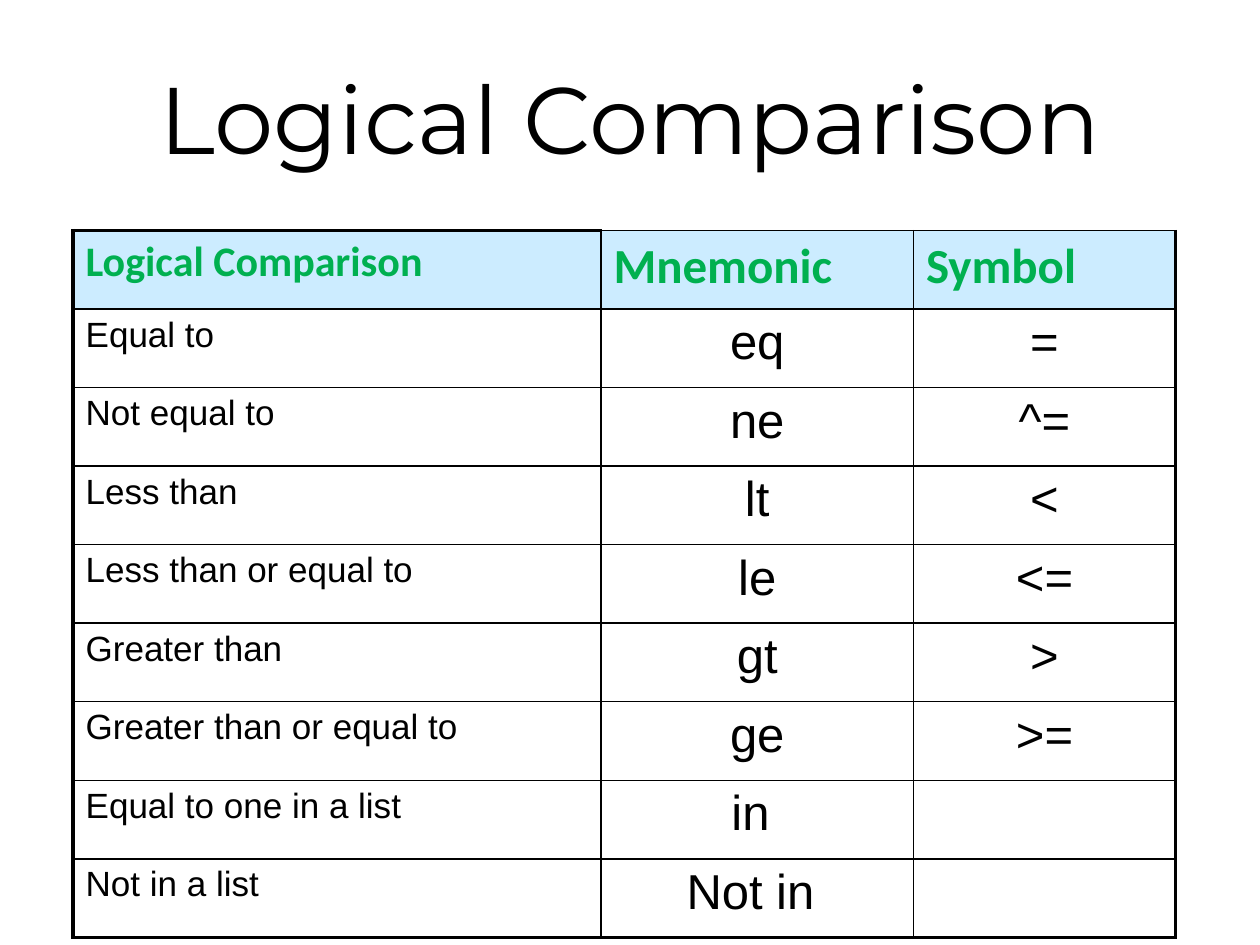
from lxml import etree
from pptx import Presentation
from pptx import util as u
from pptx.dml.color import RGBColor
from pptx.enum import text
from pptx.oxml import ns

BLACK = RGBColor(0x00, 0x00, 0x00)
GREEN = RGBColor(0x00, 0xB0, 0x50)
PALE_BLUE = RGBColor(0xCC, 0xEC, 0xFF)

THIN, THICK = 1, 2.25
COLUMN_WIDTHS = (4.19, 2.48, 2.08)
ROW_HEIGHT = 5.61 / 9
COMPARISONS = (
    ("Logical Comparison", "Mnemonic", "Symbol"),
    ("Equal to", "eq", "="),
    ("Not equal to ", "ne", "^="),
    ("Less than ", "lt", "<"),
    ("Less than or equal to", "le", "<="),
    ("Greater than", "gt", ">"),
    ("Greater than or equal to", "ge", ">="),
    ("Equal to one in a list", "in ", ""),
    ("Not in a list", "Not in ", ""),
)


def write_text(text_frame, content, font_name, size, color, align, bold=False):
    text_frame.text = content
    paragraph = text_frame.paragraphs[0]
    paragraph.alignment = align
    for run in paragraph.runs:
        run.font.name = font_name
        run.font.size = u.Pt(size)
        run.font.bold = bold
        run.font.color.rgb = color


def add_title(slide, content):
    shape = slide.shapes.add_textbox(u.Inches(0.5), u.Inches(0.3), u.Inches(9), u.Inches(1.25))
    text_frame = shape.text_frame
    text_frame.word_wrap = True
    text_frame.vertical_anchor = text.MSO_ANCHOR.MIDDLE
    write_text(text_frame, content, "Montserrat", 54, BLACK, text.PP_ALIGN.CENTER)


def set_borders(cell, widths):
    properties = cell._tc.get_or_add_tcPr()
    for side, width in widths.items():
        line = etree.SubElement(properties, ns.qn(f"a:ln{side}"), w=str(u.Pt(width)))
        fill = etree.SubElement(line, ns.qn("a:solidFill"))
        etree.SubElement(fill, ns.qn("a:srgbClr"), val=str(BLACK))


def border_widths(row, column):
    last_row, last_column = len(COMPARISONS) - 1, len(COLUMN_WIDTHS) - 1
    return {
        "L": THICK if column == 0 else THIN,
        "R": THICK if column == last_column else THIN,
        "T": THICK if row == column == 0 else THIN,
        "B": THICK if row == last_row else THIN,
    }


def fill_cell(cell, content, row, column):
    set_borders(cell, border_widths(row, column))
    first_column = column == 0
    if row == 0:
        cell.fill.solid()
        cell.fill.fore_color.rgb = PALE_BLUE
        size = 24 if first_column else 28
        write_text(cell.text_frame, content, "Calibri", size, GREEN, text.PP_ALIGN.LEFT, True)
        return
    cell.fill.background()
    if content:
        size = 20 if first_column else 28
        align = text.PP_ALIGN.LEFT if first_column else text.PP_ALIGN.CENTER
        write_text(cell.text_frame, content, "Arial", size, BLACK, align)


def add_comparison_table(slide):
    frame = slide.shapes.add_table(
        len(COMPARISONS), len(COLUMN_WIDTHS), u.Inches(0.58), u.Inches(1.83),
        u.Inches(sum(COLUMN_WIDTHS)), u.Inches(ROW_HEIGHT * len(COMPARISONS)))
    table = frame.table
    table.first_row = False
    table.horz_banding = False
    for column, width in zip(table.columns, COLUMN_WIDTHS):
        column.width = u.Inches(width)
    for row, values in enumerate(COMPARISONS):
        table.rows[row].height = u.Inches(ROW_HEIGHT)
        for column, content in enumerate(values):
            fill_cell(table.cell(row, column), content, row, column)


def main():
    presentation = Presentation()
    presentation.slide_width = u.Inches(10)
    presentation.slide_height = u.Inches(7.5)
    slide = presentation.slides.add_slide(presentation.slide_layouts[6])
    add_title(slide, "Logical Comparison")
    add_comparison_table(slide)
    presentation.save("out.pptx")


main()
